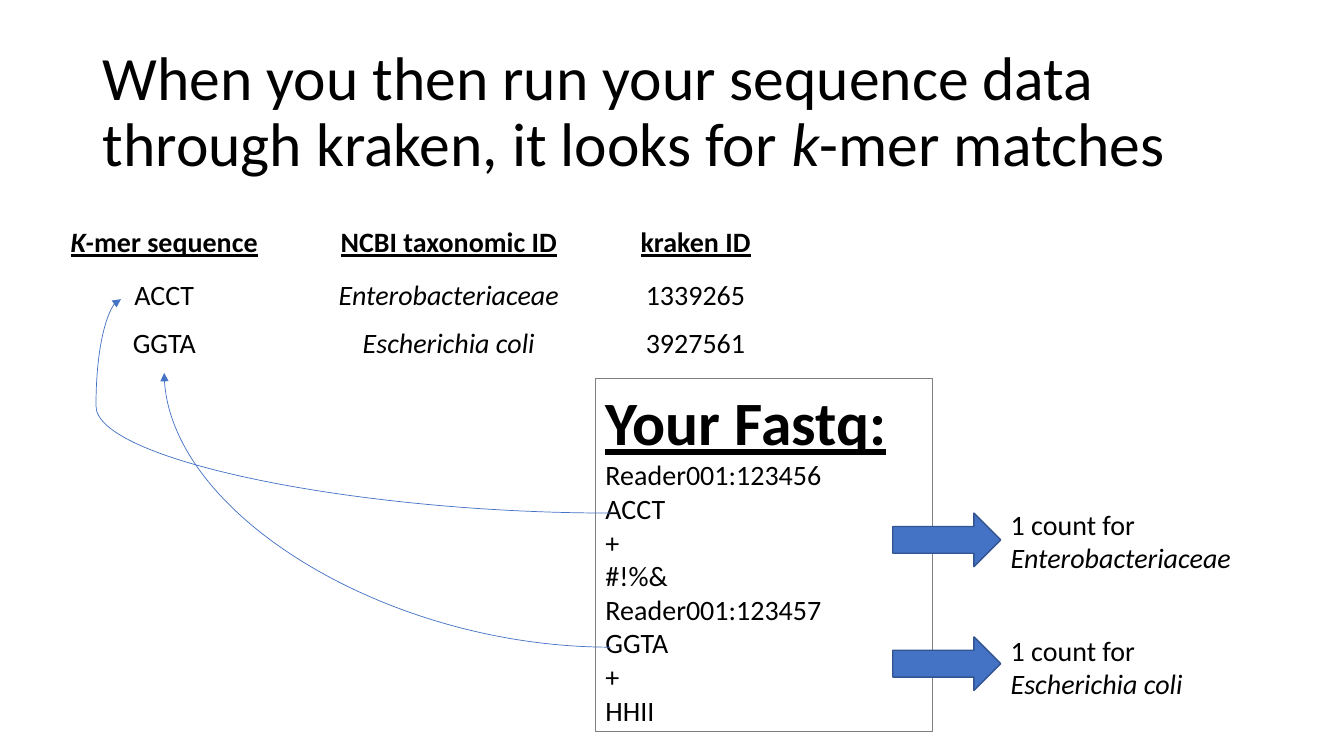
from dataclasses import dataclass
from typing import Optional

from lxml import etree
from pptx import Presentation
from pptx.dml.color import RGBColor
from pptx.enum import shapes, text
from pptx.oxml import ns
from pptx.util import Cm, Pt

BLACK = RGBColor(0x00, 0x00, 0x00)
GREY = RGBColor(0x80, 0x80, 0x80)
BLUE = RGBColor(0x44, 0x72, 0xC4)
NAVY = RGBColor(0x32, 0x54, 0x91)
FONT = "Calibri"
LEFT, MID = text.PP_ALIGN.LEFT, text.PP_ALIGN.CENTER


@dataclass(frozen=True)
class Run:
    words: str
    size: int = 20
    bold: bool = False
    slant: bool = False
    under: bool = False


@dataclass(frozen=True)
class Box:
    left: float
    top: float
    width: float
    height: float

    def place(self) -> tuple[int, int, int, int]:
        return Cm(self.left), Cm(self.top), Cm(self.width), Cm(self.height)


@dataclass(frozen=True)
class Curve:
    start: tuple[float, float]
    end: tuple[float, float]
    preset: str
    bend: Optional[int] = None


@dataclass(frozen=True)
class Count:
    arrow: float
    label: float
    taxon: str


def head(words: str, slant: bool = False) -> Run:
    return Run(words, bold=True, slant=slant, under=True)


COLS = (1.09, 8.26, 14.48)
ROWS = (5.54, 6.88, 8.08)
WIDE, TALL = 6.1, 1.35

TITLE = (
    Run("When you then run your sequence data through kraken, it looks for ", 44),
    Run("k", 44, slant=True),
    Run("-mer matches", 44),
)
TABLE = (
    ((head("K-", True), head("mer sequence")), (head("NCBI taxonomic ID"),), (head("kraken ID"),)),
    ((Run("ACCT"),), (Run("Enterobacteriaceae", slant=True),), (Run("1339265"),)),
    ((Run("GGTA"),), (Run("Escherichia coli", slant=True),), (Run("3927561"),)),
)
READS = ("Reader001:123456", "ACCT", "+", "#!%&", "Reader001:123457", "GGTA", "+", "HHII")
CURVES = (
    Curve((15.39, 12.93), (3.05, 7.54), "curvedConnector3", 105100),
    Curve((15.39, 16.31), (4.14, 9.4), "curvedConnector2"),
)
COUNTS = (
    Count(12.93, 12.95, "Enterobacteriaceae"),
    Count(16.05, 16.13, "Escherichia coli"),
)


def fill_line(line, runs: tuple[Run, ...], align=LEFT, gap: int = 0) -> None:
    line.alignment = align
    line.space_before = line.space_after = Pt(gap)
    for item in runs:
        run = line.add_run()
        run.text = item.words
        font = run.font
        font.name, font.size = FONT, Pt(item.size)
        font.bold, font.italic, font.underline = item.bold, item.slant, item.under
        font.color.rgb = BLACK


def add_text(slide, box: Box, runs: tuple[Run, ...], align=LEFT, gap: int = 6,
             anchor=text.MSO_ANCHOR.TOP):
    frame = slide.shapes.add_textbox(*box.place()).text_frame
    frame.word_wrap = True
    frame.vertical_anchor = anchor
    line = frame.paragraphs[0]
    fill_line(line, runs, align, gap)
    return line


def add_table_text(slide) -> None:
    for top, row in zip(ROWS, TABLE):
        for left, runs in zip(COLS, row):
            add_text(slide, Box(left, top, WIDE, TALL), runs, MID)


def add_fastq(slide) -> None:
    box = Box(15.01, 9.55, 8.48, 8.89)
    panel = slide.shapes.add_shape(shapes.MSO_SHAPE.RECTANGLE, *box.place())
    panel.shadow.inherit = False
    panel.fill.background()
    panel.line.color.rgb = GREY
    panel.line.width = Pt(0.75)
    frame = panel.text_frame
    frame.word_wrap = True
    frame.vertical_anchor = text.MSO_ANCHOR.TOP
    fill_line(frame.paragraphs[0], (Run("Your Fastq:", 44, bold=True, under=True),))
    for read in READS:
        fill_line(frame.add_paragraph(), (Run(read),))


def add_curve(slide, curve: Curve) -> None:
    ends = [Cm(v) for v in curve.start + curve.end]
    link = slide.shapes.add_connector(shapes.MSO_CONNECTOR.CURVE, *ends)
    link.line.color.rgb = BLUE
    link.line.width = Pt(0.5)
    props = link._element.spPr
    etree.SubElement(props.find(ns.qn("a:ln")), ns.qn("a:tailEnd"), type="triangle")
    etree.SubElement(props, ns.qn("a:effectLst"))
    geom = props.find(ns.qn("a:prstGeom"))
    geom.set("prst", curve.preset)
    if curve.bend is not None:
        guide = etree.SubElement(geom.find(ns.qn("a:avLst")), ns.qn("a:gd"))
        guide.set("name", "adj1")
        guide.set("fmla", f"val {curve.bend}")


def add_arrow(slide, top: float) -> None:
    box = Box(22.5, top, 2.72, TALL)
    arrow = slide.shapes.add_shape(shapes.MSO_SHAPE.RIGHT_ARROW, *box.place())
    arrow.shadow.inherit = False
    arrow.fill.solid()
    arrow.fill.fore_color.rgb = BLUE
    arrow.line.color.rgb = NAVY
    arrow.line.width = Pt(1)


def main() -> None:
    deck = Presentation()
    deck.slide_width, deck.slide_height = Cm(33.87), Cm(19.05)
    slide = deck.slides.add_slide(deck.slide_layouts[6])
    title = add_text(slide, Box(2.34, 1.02, 29.21, 3.68), TITLE, gap=0,
                     anchor=text.MSO_ANCHOR.MIDDLE)
    title.line_spacing = 0.9
    add_table_text(slide)
    add_fastq(slide)
    for curve in CURVES:
        add_curve(slide, curve)
    for count in COUNTS:
        add_arrow(slide, count.arrow)
        runs = (Run("1 count for "), Run(count.taxon, slant=True))
        add_text(slide, Box(25.22, count.label, WIDE, TALL), runs,
                 anchor=text.MSO_ANCHOR.MIDDLE)
    deck.save("out.pptx")


if __name__ == "__main__":
    main()
